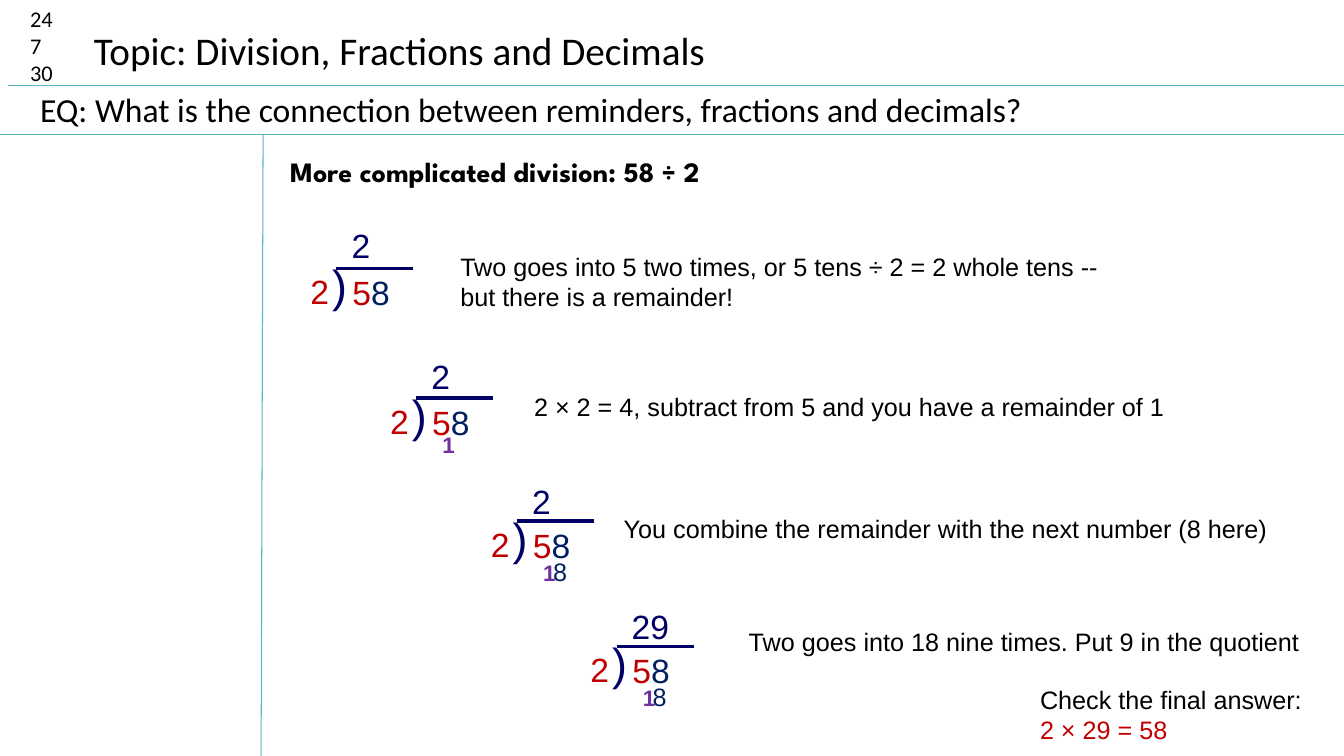
from dataclasses import dataclass

from lxml import etree
from pptx import Presentation
from pptx.dml.color import RGBColor
from pptx.enum import shapes, text
from pptx.oxml import ns
from pptx.util import Cm, Pt


@dataclass(frozen=True)
class Theme:
    """Colours, fonts and type sizes of the lesson slide."""
    black: str = "000000"
    red: str = "C00000"
    indigo: str = "010066"
    navy: str = "002060"
    purple: str = "7030A0"
    teal: str = "58B6C0"
    heading: str = "Calibri"
    display: str = "League Spartan"
    body: str = "Arial"
    topic: int = 28
    question: int = 24
    example: int = 20
    digit: int = 24
    bracket: int = 32
    note: int = 18
    small: int = 16


THEME = Theme()


def fill_text(frame, lines, size, font, bold=False, wrap=True, align=None):
    """Write lines of (words, colour) runs into a text frame."""
    frame.word_wrap = wrap
    frame.auto_size = text.MSO_AUTO_SIZE.SHAPE_TO_FIT_TEXT
    frame.vertical_anchor = text.MSO_ANCHOR.TOP
    for index, line in enumerate(lines):
        paragraph = frame.add_paragraph() if index else frame.paragraphs[0]
        paragraph.alignment = align
        for words, colour in line:
            run = paragraph.add_run()
            run.text = words
            run.font.size = Pt(size)
            run.font.name = font
            run.font.bold = bold
            run.font.color.rgb = RGBColor.from_string(colour)


def add_label(parent, place, lines, size, font, **style):
    """Add a text box at a place given in centimetres."""
    label = parent.add_textbox(*map(Cm, place))
    fill_text(label.text_frame, lines, size, font, **style)


def add_rule(parent, start, end, colour, width):
    """Add a straight line without a shadow."""
    rule = parent.add_connector(shapes.MSO_CONNECTOR.STRAIGHT,
                                *map(Cm, (*start, *end)))
    rule.line.color.rgb = RGBColor.from_string(colour)
    rule.line.width = Pt(width)
    etree.SubElement(rule._element.spPr, ns.qn("a:effectLst"))


def add_topic(slide, words):
    """Place the topic in the title placeholder."""
    topic = slide.shapes.title
    topic.left, topic.top, topic.width, topic.height = map(
        Cm, (2.11, 0.53, 16.1, 1.45))
    fill_text(topic.text_frame, [[(words, THEME.black)]], THEME.topic,
              THEME.heading, wrap=False, align=text.PP_ALIGN.LEFT)


def add_division(slide, left, top, quotient, lift, remainder_drop=None,
                 brought_down=False):
    """Group one long division of 58 by 2 around its bar."""
    division = slide.shapes.add_group_shape().shapes
    parts = [
        ((-0.91, -0.05, 0.99, 1.27), [("2", THEME.red)], THEME.digit, False),
        ((-0.36, -0.38, 0.89, 1.63), [(")", THEME.indigo)], THEME.bracket, False),
        ((0.15, -0.03, 1.47, 1.27), [("5", THEME.red), ("8", THEME.navy)],
         THEME.digit, False),
        ((0.13, -lift, 0.51 + 0.48 * len(quotient), 1.27),
         [(quotient, THEME.indigo)], THEME.digit, False),
    ]
    if brought_down:
        parts.append(((0.66, 0.76, 0.86, 1.02), [("8", THEME.navy)],
                      THEME.note, False))
    if remainder_drop:
        parts.append(((0.41, remainder_drop, 0.84, 0.94),
                      [("1", THEME.purple)], THEME.small, True))
    add_rule(division, (left, top), (left + 1.94, top), THEME.indigo, 2.25)
    for (dx, dy, width, height), line, size, bold in parts:
        add_label(division, (left + dx, top + dy, width, height), [line], size,
                  THEME.body, bold=bold, wrap=False)


def add_note(slide, left, top, height, *lines):
    """Add an explanation whose lines are (words, colour) pairs."""
    add_label(slide.shapes, (left, top, 16.94, height),
              [[line] for line in lines], THEME.note, THEME.body)


def main():
    """Build the division lesson slide and save it."""
    deck = Presentation()
    deck.slide_width, deck.slide_height = Cm(33.87), Cm(19.05)
    slide = deck.slides.add_slide(deck.slide_layouts[5])
    canvas = slide.shapes
    black = THEME.black

    for start, end in (((0.2, 2.16), (33.87, 2.16)),
                       ((0, 3.4), (33.87, 3.4)),
                       ((6.63, 3.4), (6.58, 19.05))):
        add_rule(canvas, start, end, THEME.teal, 0.75)

    add_label(canvas, (0.51, 0, 1.6, 2.31),
              [[(number, black)] for number in ("24", "7", "30")],
              THEME.small, THEME.heading)
    add_topic(slide, "Topic: Division, Fractions and Decimals")
    add_label(canvas, (0.76, 2.11, 29.57, 1.27),
              [[("EQ: What is the connection between reminders, "
                 "fractions and decimals?", black)]],
              THEME.question, THEME.heading)
    add_label(canvas, (7.06, 3.76, 25.5, 1.12),
              [[("More complicated division: 58 ÷ 2", black)]],
              THEME.example, THEME.display, bold=True)

    steps = [
        ((8.48, 6.76, "2", 1.22), (11.35, 6.2, 1.8),
         "Two goes into 5 two times, or 5 tens ÷ 2 = 2 whole tens -- "
         "but there is a remainder!"),
        ((10.49, 10.03, "2", 1.19, 0.71), (13.21, 9.73, 1.02),
         "2 × 2 = 4, subtract from 5 and you have a remainder of 1"),
        ((13.03, 13.13, "2", 1.14, 0.84, True), (15.47, 12.8, 1.02),
         "You combine the remainder with the next number (8 here)"),
        ((15.54, 16.28, "29", 1.14, 0.84, True), (18.62, 15.65, 1.8),
         "Two goes into 18 nine times. Put 9 in the quotient"),
    ]
    for division, place, explanation in steps:
        add_division(slide, *division)
        add_note(slide, *place, (explanation, black))
    add_note(slide, 25.96, 17.12, 1.8, ("Check the final answer:", black),
             ("2 × 29 = 58", THEME.red))

    deck.save("out.pptx")


if __name__ == "__main__":
    main()
